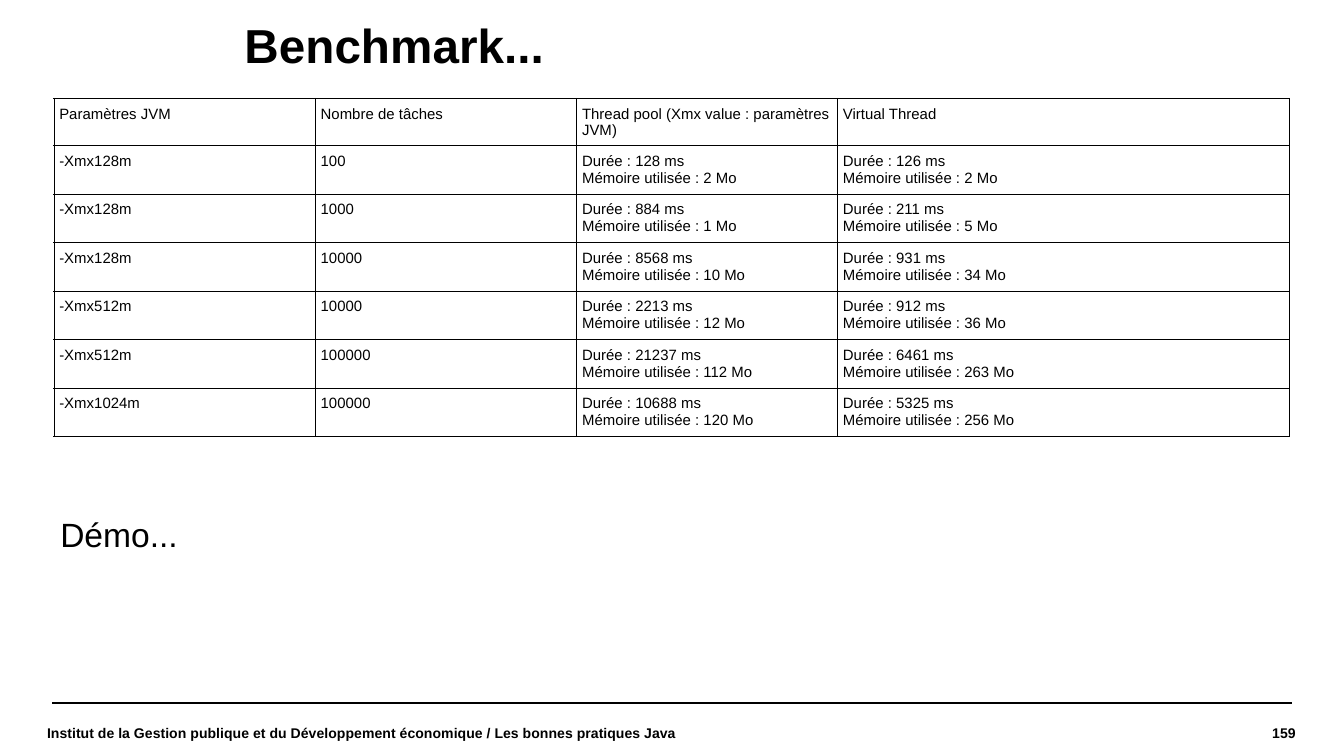
from collections import namedtuple
from dataclasses import dataclass

from lxml import etree
from pptx import Presentation
from pptx.dml.color import RGBColor
from pptx.enum.shapes import MSO_CONNECTOR as Connector
from pptx.enum.text import MSO_ANCHOR as Anchor
from pptx.enum.text import MSO_AUTO_SIZE as AutoSize
from pptx.enum.text import PP_ALIGN as Align
from pptx.oxml.ns import qn
from pptx.util import Cm, Pt

Box = namedtuple("Box", "left top width height")


@dataclass(frozen=True)
class Theme:
    font: str = "Arial"
    ink: RGBColor = RGBColor(0, 0, 0)
    title_size: float = 25.5
    note_size: float = 18
    table_size: float = 8
    footer_size: float = 7.5
    rule_width: float = 0.8
    border_width: float = 0.57


THEME = Theme()

COLUMN_WIDTHS = (4.94, 4.94, 4.93, 8.53)
HEADER_HEIGHT, ROW_HEIGHT = 0.89, 0.915
HEADERS = (
    "Paramètres JVM",
    "Nombre de tâches",
    "Thread pool (Xmx value : paramètres JVM)",
    "Virtual Thread",
)
# JVM setting, tasks, then (ms, Mo) for thread pool and for virtual threads
RESULTS = (
    ("-Xmx128m", 100, (128, 2), (126, 2)),
    ("-Xmx128m", 1000, (884, 1), (211, 5)),
    ("-Xmx128m", 10000, (8568, 10), (931, 34)),
    ("-Xmx512m", 10000, (2213, 12), (912, 36)),
    ("-Xmx512m", 100000, (21237, 112), (6461, 263)),
    ("-Xmx1024m", 100000, (10688, 120), (5325, 256)),
)


def write(frame, lines, size, bold=False, align=Align.LEFT):
    """Write each line as its own paragraph."""
    for index, line in enumerate(lines):
        paragraph = frame.paragraphs[0] if index == 0 else frame.add_paragraph()
        paragraph.alignment = align
        run = paragraph.add_run()
        run.text = line
        run.font.name = THEME.font
        run.font.size = Pt(size)
        run.font.bold = bold
        run.font.color.rgb = THEME.ink


def set_frame(frame, side, end, anchor):
    frame.word_wrap = True
    frame.auto_size = AutoSize.NONE
    frame.vertical_anchor = anchor
    frame.margin_left = frame.margin_right = Cm(side)
    frame.margin_top = frame.margin_bottom = Cm(end)


def add_text(slide, box, text, size, side=0, end=0, anchor=Anchor.TOP, **style):
    shape = slide.shapes.add_textbox(*map(Cm, box))
    set_frame(shape.text_frame, side, end, anchor)
    write(shape.text_frame, [text], size, **style)


def add_title(slide, box, text):
    title = slide.shapes.title
    title.left, title.top, title.width, title.height = map(Cm, box)
    set_frame(title.text_frame, 0, 0, Anchor.TOP)
    write(title.text_frame, [text], THEME.title_size, bold=True)
    title.text_frame.paragraphs[0].line_spacing = 0.9


def set_borders(cell):
    properties = cell._tc.get_or_add_tcPr()
    for position, side in enumerate(("lnL", "lnR", "lnT", "lnB")):
        line = etree.Element(qn(f"a:{side}"), w=str(Pt(THEME.border_width)))
        fill = etree.SubElement(line, qn("a:solidFill"))
        etree.SubElement(fill, qn("a:srgbClr"), val=str(THEME.ink))
        properties.insert(position, line)


def fill_cell(cell, lines):
    cell.fill.background()
    cell.margin_left = cell.margin_right = Cm(0.1)
    cell.margin_top = cell.margin_bottom = Cm(0.13)
    write(cell.text_frame, lines, THEME.table_size)
    set_borders(cell)


def measure_lines(duration, memory):
    return [f"Durée : {duration} ms", f"Mémoire utilisée : {memory} Mo"]


def add_results(slide, box):
    rows = [[[header] for header in HEADERS]]
    for setting, tasks, pool, virtual in RESULTS:
        rows.append([[setting], [str(tasks)],
                     measure_lines(*pool), measure_lines(*virtual)])
    table = slide.shapes.add_table(len(rows), len(HEADERS), *map(Cm, box)).table
    table.first_row = table.horz_banding = False
    for column, width in zip(table.columns, COLUMN_WIDTHS):
        column.width = Cm(width)
    for index, row in enumerate(rows):
        table.rows[index].height = Cm(ROW_HEIGHT if index else HEADER_HEIGHT)
        for column, lines in enumerate(row):
            fill_cell(table.cell(index, column), lines)


def add_footer(slide, box, text, number):
    # Rule above the footer
    rule_left, rule_right = Cm(box.left + 0.1), Cm(box.left + box.width - 0.08)
    rule = slide.shapes.add_connector(
        Connector.STRAIGHT, rule_left, Cm(box.top), rule_right, Cm(box.top))
    rule.line.color.rgb = THEME.ink
    rule.line.width = Pt(THEME.rule_width)
    etree.SubElement(rule._element.spPr, qn("a:effectLst"))

    # Course name on the left, page number on the right
    top, height = box.top + 0.06, box.height - 0.06
    name_width, number_width = 12.3, 3.73
    number_left = box.left + box.width - number_width
    style = dict(size=THEME.footer_size, anchor=Anchor.MIDDLE, bold=True)
    add_text(slide, Box(box.left, top, name_width, height), text, **style)
    add_text(slide, Box(number_left, top, number_width, height), number,
             align=Align.RIGHT, **style)


def main():
    presentation = Presentation()
    presentation.slide_width, presentation.slide_height = Cm(25.4), Cm(14.28)
    slide = presentation.slides.add_slide(presentation.slide_layouts[5])

    add_title(slide, Box(4.62, 0.43, 20.07, 1.02), "Benchmark...")
    add_footer(
        slide, Box(0.89, 13.28, 23.6, 1.05),
        "Institut de la Gestion publique et du Développement économique"
        " / Les bonnes pratiques Java", "159")
    add_text(slide, Box(0.89, 9.58, 5.99, 0.97), "Démo...",
             THEME.note_size, side=0.25, end=0.13)
    table_height = HEADER_HEIGHT + ROW_HEIGHT * len(RESULTS)
    add_results(slide, Box(1.02, 1.86, sum(COLUMN_WIDTHS), table_height))

    presentation.save("out.pptx")


if __name__ == "__main__":
    main()
